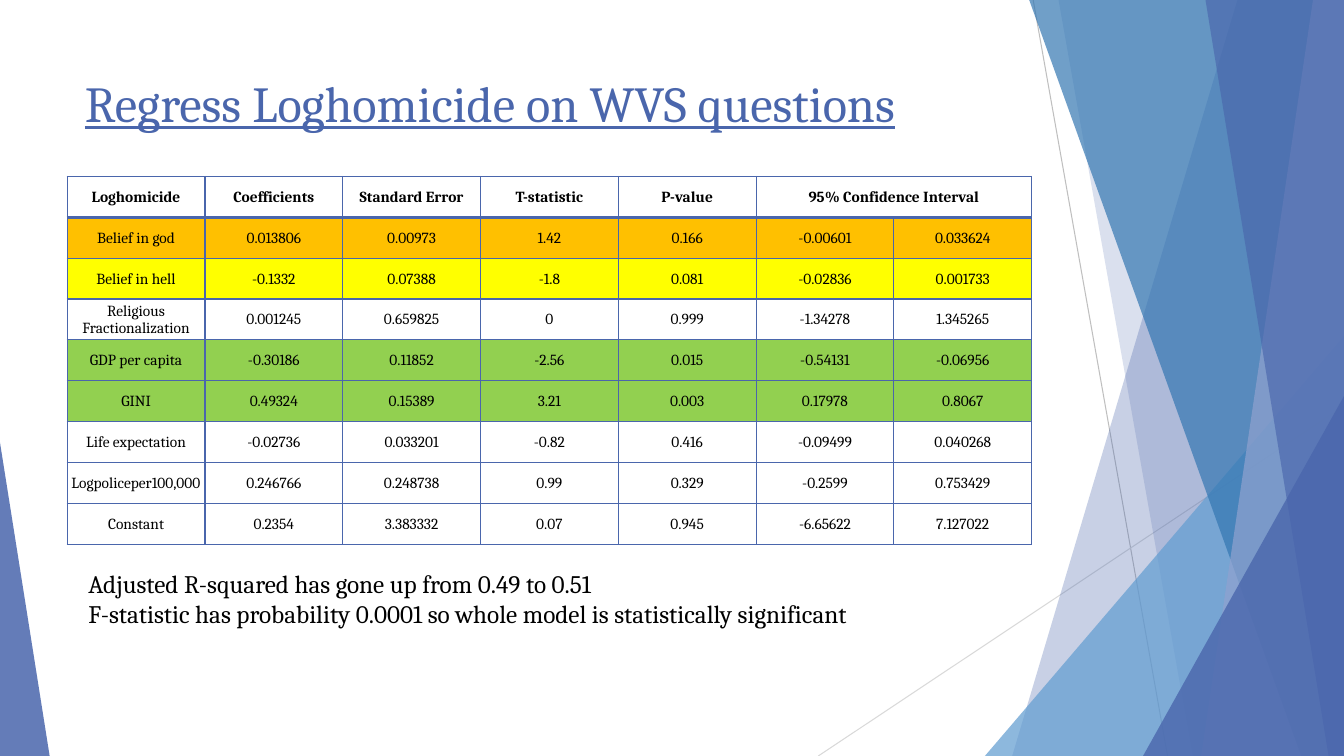
from lxml import etree
from pptx import Presentation
from pptx import util as u
from pptx.dml.color import RGBColor
from pptx.enum import shapes, text
from pptx.oxml import ns

BLUE, BLACK, WHITE = "4A66AC", "000000", "FFFFFF"
TOP, BOTTOM, RIGHT = -0.5, 540, 960

# top-left x, bottom-left x, colour, opacity: each band runs to the right edge
BANDS_BACK = [(884, 723, BLUE, 30), (756, 852, BLUE, 20)]
BANDS_FRONT = [(735, 929.5, "3477B2", 70), (938, 858, "90A2CF", 70),
               (861, 949, BLUE, 65)]

HEADER = ["Loghomicide", "Coefficients", "Standard Error", "T-statistic",
          "P-value", "95% Confidence Interval", ""]
ORANGE, YELLOW, GREEN = ("FFC000", 20), ("FFFF00", 20), ("92D050", 68)
RESULTS = [
    (ORANGE, "Belief in god", "0.013806", "0.00973", "1.42", "0.166", "-0.00601", "0.033624"),
    (YELLOW, "Belief in hell", "-0.1332", "0.07388", "-1.8", "0.081", "-0.02836", "0.001733"),
    ((WHITE, 58), "Religious Fractionalization", "0.001245", "0.659825", "0", "0.999",
     "-1.34278", "1.345265"),
    (GREEN, "GDP per capita", "-0.30186", "0.11852", "-2.56", "0.015", "-0.54131", "-0.06956"),
    (GREEN, "GINI", "0.49324", "0.15389", "3.21", "0.003", "0.17978", "0.8067"),
    (None, "Life expectation", "-0.02736", "0.033201", "-0.82", "0.416", "-0.09499", "0.040268"),
    ((WHITE, 20), "Logpoliceper100,000", "0.246766", "0.248738", "0.99", "0.329",
     "-0.2599", "0.753429"),
    (None, "Constant", "0.2354", "3.383332", "0.07", "0.945", "-6.65622", "7.127022"),
]
FINDINGS = ["Adjusted R-squared has gone up from 0.49 to 0.51",
            "F-statistic has probability 0.0001 so whole model is statistically significant"]


def rgb(code):
    return RGBColor.from_string(code)


def apply(target, values):
    for name, value in values.items():
        setattr(target, name, value)


class SlideBuilder:
    font = "Cambria"

    def __init__(self, page):
        self.page = page

    def paint(self, fill, colour, opacity):
        """Fill with a solid colour at the given opacity in percent."""
        fill.solid()
        fill.fore_color.rgb = rgb(colour)
        node = fill._xPr.find(".//" + ns.qn("a:srgbClr"))
        etree.SubElement(node, ns.qn("a:alpha"), val=str(opacity * 1000))

    def finish(self, shape, colour, opacity):
        self.paint(shape.fill, colour, opacity)
        shape.line.fill.background()
        shape.shadow.inherit = False

    def line(self, x1, y1, x2, y2, colour):
        line = self.page.shapes.add_connector(
            shapes.MSO_CONNECTOR.STRAIGHT, *map(u.Pt, (x1, y1, x2, y2)))
        line.line.color.rgb = rgb(colour)
        line.line.width = u.Pt(0.75)
        etree.SubElement(line._element.spPr, ns.qn("a:effectLst"))

    def band(self, top_x, bottom_x, colour, opacity):
        outline = self.page.shapes.build_freeform(u.Pt(top_x), u.Pt(TOP))
        corners = [(RIGHT, TOP), (RIGHT, BOTTOM), (bottom_x, BOTTOM)]
        outline.add_line_segments([(u.Pt(x), u.Pt(y)) for x, y in corners], close=True)
        self.finish(outline.convert_to_shape(), colour, opacity)

    def triangle(self, left, top, width, apex, colour, opacity):
        """Add a triangle that stands on the bottom edge of the slide."""
        shape = self.page.shapes.add_shape(
            shapes.MSO_SHAPE.ISOSCELES_TRIANGLE,
            *map(u.Pt, (left, top, width, BOTTOM - top)))
        shape.adjustments[0] = apex
        self.finish(shape, colour, opacity)

    def span(self, para, words, size, colour=BLACK, align=text.PP_ALIGN.LEFT, **style):
        """Add formatted words to a paragraph and align it."""
        para.alignment = align
        span = para.add_run()
        span.text = words
        apply(span.font, {"name": self.font, "size": u.Pt(size), **style})
        span.font.color.rgb = rgb(colour)

    def title(self, words, left, top, width, height):
        box = self.page.shapes.title
        self.page.shapes._spTree.append(box._element)
        apply(box, {"left": u.Pt(left), "top": u.Pt(top),
                    "width": u.Pt(width), "height": u.Pt(height)})
        apply(box.text_frame, {"vertical_anchor": text.MSO_ANCHOR.TOP,
                               "auto_size": text.MSO_AUTO_SIZE.NONE})
        self.span(box.text_frame.paragraphs[0], words, 36, BLUE, underline=True)

    def paragraphs(self, lines, left, top, width, height):
        box = self.page.shapes.add_textbox(*map(u.Pt, (left, top, width, height)))
        frame = box.text_frame
        apply(frame, {"word_wrap": True, "auto_size": text.MSO_AUTO_SIZE.SHAPE_TO_FIT_TEXT})
        for index, words in enumerate(lines):
            para = frame.add_paragraph() if index else frame.paragraphs[0]
            self.span(para, words, 18)

    def borders(self, cell, widths):
        """Draw the left, right, top and bottom borders of a cell."""
        props = cell._tc.get_or_add_tcPr()
        for side, width in zip("LRTB", widths):
            edge = etree.SubElement(props, ns.qn("a:ln" + side), w=str(u.Pt(width)))
            solid = etree.SubElement(edge, ns.qn("a:solidFill"))
            etree.SubElement(solid, ns.qn("a:srgbClr"), val=BLUE)

    def cell(self, cell, words, tint, bold, widths):
        apply(cell, {"vertical_anchor": text.MSO_ANCHOR.MIDDLE,
                     "margin_left": u.Pt(0.7), "margin_right": u.Pt(0.7),
                     "margin_top": u.Pt(0.7), "margin_bottom": 0})
        self.borders(cell, widths)
        if tint:
            self.paint(cell.fill, *tint)
        else:
            cell.fill.background()
        if words:
            self.span(cell.text_frame.paragraphs[0], words, 11,
                      align=text.PP_ALIGN.CENTER, bold=bold)

    def table(self, header, results, left, top, width, height):
        rows = [(None, *header), *results]
        table = self.page.shapes.add_table(
            len(rows), len(header), *map(u.Pt, (left, top, width, height))).table
        apply(table, {"first_row": False, "horz_banding": False})
        for index, (tint, *values) in enumerate(rows):
            widths = (1, 1, 2 if index == 1 else 1, 2 if index == 0 else 1)
            for column, words in enumerate(values):
                self.cell(table.cell(index, column), words, tint, index == 0, widths)
        table.cell(0, 5).merge(table.cell(0, 6))


def main():
    deck = Presentation()
    apply(deck, {"slide_width": u.Pt(960), "slide_height": u.Pt(540)})
    builder = SlideBuilder(deck.slides.add_slide(deck.slide_layouts[5]))

    builder.line(738, 0, 834, BOTTOM, "BFBFBF")
    builder.line(RIGHT, 290, 584.5, BOTTOM, "D9D9D9")
    for band in BANDS_BACK:
        builder.band(*band)
    builder.triangle(703.5, 240, 256.5, 1, "629DD1", 72)
    for band in BANDS_FRONT:
        builder.band(*band)
    builder.triangle(816.5, 283, 143.5, 1, BLUE, 80)
    builder.triangle(0, 316, 35.5, 0, BLUE, 85)

    builder.title("Regress Loghomicide on WVS questions", 53.5, 48, 677, 104)
    builder.table(HEADER, RESULTS, 48, 126, 689, 263)
    builder.paragraphs(FINDINGS, 56, 402.5, 840, 51)
    deck.save("out.pptx")


if __name__ == "__main__":
    main()
